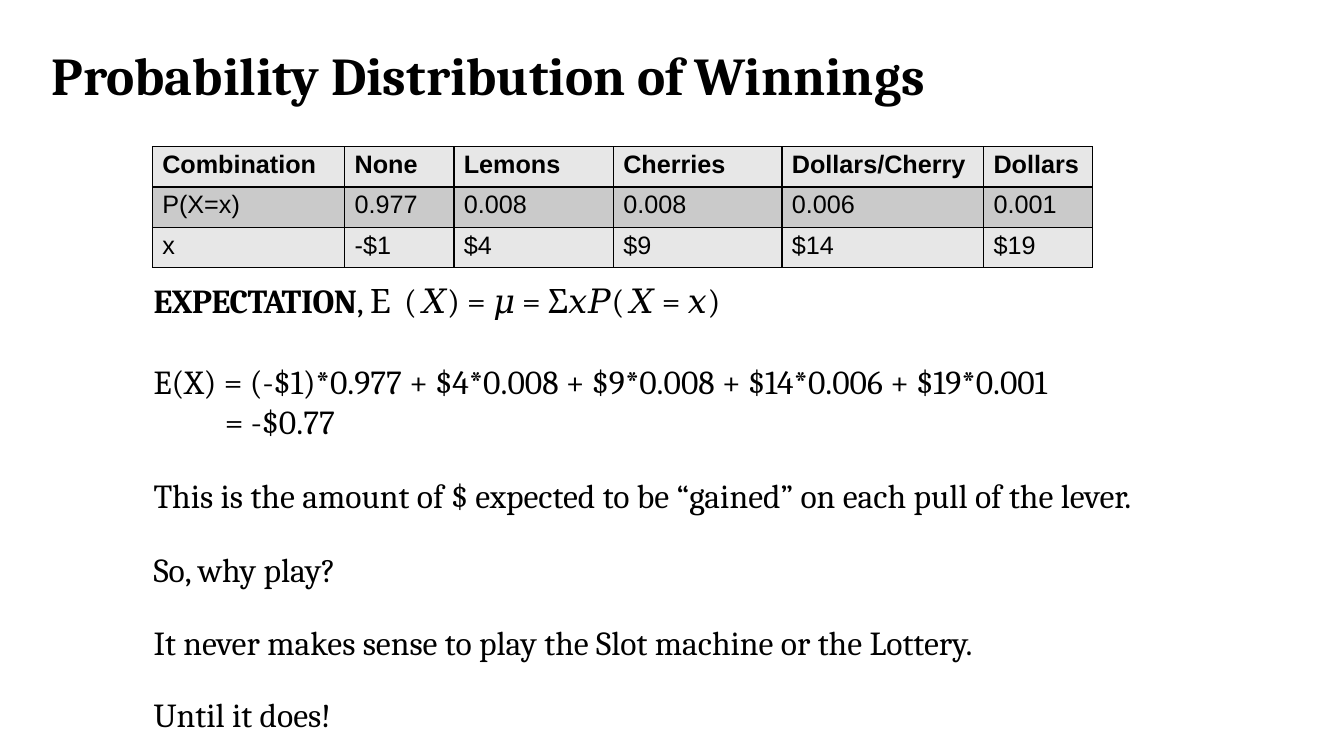
from lxml.etree import SubElement
from pptx import Presentation
from pptx.dml.color import RGBColor
from pptx.enum.text import MSO_ANCHOR as Anchor, MSO_AUTO_SIZE as Fit, PP_ALIGN as Align
from pptx.oxml.ns import qn
from pptx.util import Cm, Pt


def color(code):
    return RGBColor.from_string(code)


def write(para, text, font="Cambria", size=24, bold=False, ink="000000", gap=0):
    run = para.add_run()
    run.text = text
    face = run.font
    face.name, face.size, face.bold = font, Pt(size), bold
    face.color.rgb = color(ink)
    if gap:
        run._r.get_or_add_rPr().set("spc", str(round(gap * 100)))


def indent(para, width):
    para._p.get_or_add_pPr().set("marL", str(Cm(width)))


class Deck:
    line = "000000"
    light, dark = "E7E7E7", "CACACA"

    def __init__(self):
        self.file = Presentation()
        self.file.slide_width, self.file.slide_height = Cm(33.87), Cm(19.05)
        self.slide = self.file.slides.add_slide(self.file.slide_layouts[5])

    def frame(self, shape, anchor):
        frame = shape.text_frame
        frame.word_wrap, frame.auto_size = True, Fit.NONE
        frame.vertical_anchor = anchor
        frame.margin_left = frame.margin_right = 0
        frame.margin_top = frame.margin_bottom = 0
        return frame

    def title(self, text, left, top, width, height):
        shape = self.slide.shapes.title
        shape.left, shape.top = Cm(left), Cm(top)
        shape.width, shape.height = Cm(width), Cm(height)
        para = self.frame(shape, Anchor.MIDDLE).paragraphs[0]
        para.alignment, para.line_spacing = Align.LEFT, 0.9
        indent(para, 0.28)
        write(para, text, size=38, bold=True)

    def edge(self, cell, side, width):
        props = cell._tc.get_or_add_tcPr()
        line = SubElement(props, qn("a:ln" + side), w=str(Pt(width)))
        fill = SubElement(line, qn("a:solidFill"))
        SubElement(fill, qn("a:srgbClr"), val=self.line)

    def table(self, rows, widths, left, top, height):
        last, end = len(rows) - 1, len(widths) - 1
        grid = self.slide.shapes.add_table(
            len(rows), len(widths), Cm(left), Cm(top),
            Cm(sum(widths)), Cm(height * len(rows))).table
        for col, width in zip(grid.columns, widths):
            col.width = Cm(width)
        for r, row in enumerate(rows):
            grid.rows[r].height = Cm(height)
            for c, text in enumerate(row):
                cell = grid.cell(r, c)
                # Inner lines are 1 pt, the outer frame is thinner
                self.edge(cell, "L", 1 if c else 0.75)
                self.edge(cell, "R", 0.5 if c == end else 1)
                self.edge(cell, "T", 1 if r else 0.75)
                self.edge(cell, "B", 0.75 if r == last else 1)
                cell.fill.solid()
                cell.fill.fore_color.rgb = color(self.dark if r % 2 else self.light)
                cell.margin_left, cell.margin_top = Cm(0.25), Cm(0.1)
                cell.margin_right = cell.margin_bottom = 0
                write(cell.text_frame.paragraphs[0], text,
                      font="Arial", size=18, bold=r == 0)

    def body(self, items, left, top, width, height):
        box = self.slide.shapes.add_textbox(Cm(left), Cm(top), Cm(width), Cm(height))
        frame = self.frame(box, Anchor.TOP)
        for i, (runs, before, inset, pitch) in enumerate(items):
            para = frame.add_paragraph() if i else frame.paragraphs[0]
            indent(para, inset)
            para.space_before = Pt(before)
            if pitch:
                para.line_spacing = Pt(pitch)
            for text, style in runs:
                write(para, text, **style)


def main():
    deck = Deck()
    deck.title("Probability Distribution of Winnings", 1.02, 0.97, 31.83, 1.98)

    # Winnings by combination
    deck.table([
        ["Combination", "None", "Lemons", "Cherries", "Dollars/Cherry", "Dollars"],
        ["P(X=x)", "0.977", "0.008", "0.008", "0.006", "0.001"],
        ["x", "-$1", "$4", "$9", "$14", "$19"],
    ], [4.85, 2.75, 4.02, 4.25, 5.08, 2.75], 3.84, 3.69, 1.02)

    # Formula: a slight gap keeps each math letter apart from plain signs
    formula = [
        ("EXPECTATION", {"bold": True, "gap": -0.3}),
        (", ", {}),
        ("Ε ", {"gap": 2}),
        ("(", {"gap": 3.9}),
        ("𝑋", {"gap": 0.5}),
        (") = ", {}),
        ("𝜇", {"gap": 0.5}),
        (" = Σ", {}),
        ("𝑥𝑃", {"gap": 0.5}),
        ("(", {"gap": 4}),
        ("𝑋", {"gap": 0.5}),
        (" = ", {}),
        ("𝑥", {"gap": 0.5}),
        (")", {}),
    ]

    # Result and remarks: text, space before, indent, line pitch
    lines = [
        ("E(X) = (-$1)*0.977 + $4*0.008 + $9*0.008 + $14*0.006 + $19*0.001", 29, 0.03, None),
        ("= -$0.77", 0, 1.83, None),
        ("This is the amount of $ expected to be “gained” on each pull of the lever.",
         24, 0.03, None),
        ("So, why play?", 24, 0.03, None),
        ("It never makes sense to play the Slot machine or the Lottery.", 3.6, 0.03, 48),
        ("Until it does!", 3.6, 0.03, 48),
    ]
    items = [(formula, 0, 0.03, None)]
    items += [([(text, {})], *rest) for text, *rest in lines]
    deck.body(items, 3.84, 7.06, 30.63, 11.38)

    deck.file.save("out.pptx")


if __name__ == "__main__":
    main()
